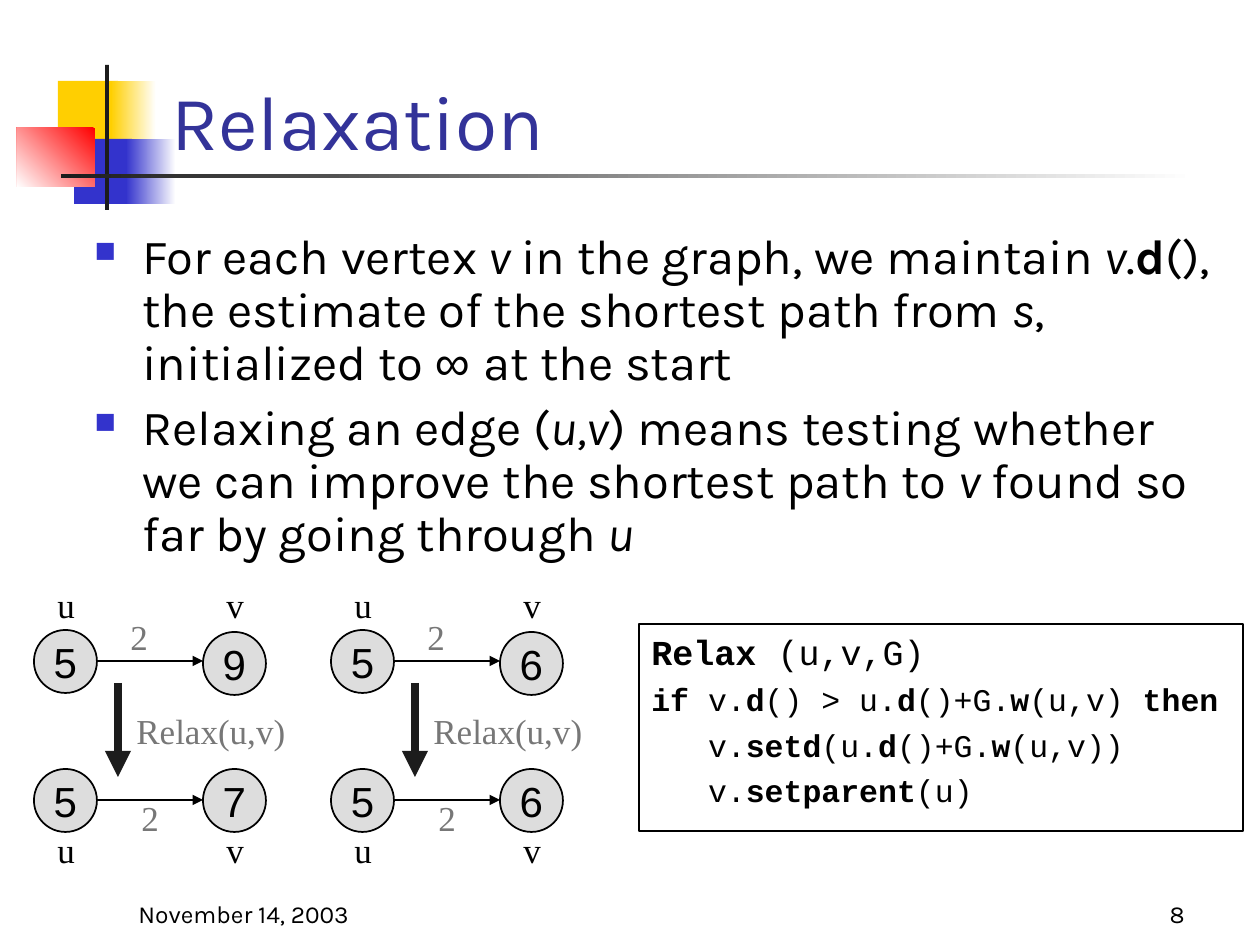
import pptx
import pptx.util
import pptx.dml.color
import pptx.enum.shapes
import pptx.enum.text
import pptx.oxml
import pptx.oxml.ns
from dataclasses import dataclass


@dataclass(frozen=True)
class Theme:
    white: str = "FFFFFF"
    black: str = "000000"
    dark: str = "1C1C1C"
    yellow: str = "FFCF01"
    blue: str = "3333CC"
    red: str = "FF0000"
    title: str = "333399"
    node: str = "DDDDDD"
    muted: str = "777777"
    sans: str = "Karla"
    digit: str = "Arial"
    serif: str = "Times New Roman"
    mono: str = "Courier New"
    title_size: int = 44
    body_size: int = 28
    node_size: int = 24
    label_size: int = 20
    code_size: int = 18
    footer_size: int = 14


THEME = Theme()
SLIDE_SIZE = (1260, 945)
SCALE = 914400 / 126
ALIGN = pptx.enum.text.PP_ALIGN
ANCHOR = pptx.enum.text.MSO_ANCHOR
SHAPE = pptx.enum.shapes.MSO_SHAPE

DECORATION = [
    ((58, 81, 60, 65), (THEME.yellow,), 0),
    ((111, 81, 45, 65), (THEME.white, THEME.yellow), 180),
    ((74, 139, 58, 65), (THEME.blue,), 0),
    ((126, 139, 50, 65), (THEME.white, THEME.blue), 180),
    ((17, 128, 78, 59), (THEME.red, THEME.white), 225),
    ((105, 65, 4, 145), (THEME.dark,), 0),
    ((61, 174, 1134, 4), (THEME.white, THEME.dark), 180),
]

BODY = [
    [("For each vertex ", ""), ("v ", "i"), ("in the graph, we maintain ", ""), ("v", "i"),
     (".", ""), ("d", "b"), ("(), the estimate of the shortest path from ", ""), ("s", "i"),
     (", initialized to ", ""), ("∞ ", "symbol"), ("at the start", "")],
    [("Relaxing an edge (", ""), ("u,v", "i"),
     (") means testing whether we can improve the shortest path to ", ""), ("v", "i"),
     (" found so far by going through ", ""), ("u", "i")],
]

CODE = [
    [("Relax ", "b"), ("(u,v,G)", "")],
    [("if ", "b"), ("v.", ""), ("d", "b"), ("() > u.", ""), ("d", "b"), ("()+G.", ""),
     ("w", "b"), ("(u,v) ", ""), ("then", "b")],
    [("   v.", ""), ("setd", "b"), ("(u.", ""), ("d", "b"), ("()+G.", ""), ("w", "b"),
     ("(u,v))", "")],
    [("   ", "b"), ("v.", ""), ("setparent", "b"), ("(u)", "")],
]

EXAMPLES = [
    {"before": ("5", "9"), "after": ("5", "7")},
    {"before": ("5", "6"), "after": ("5", "6")},
]
EXAMPLE_LEFT, EXAMPLE_STEP = 34, 297
NODE, NODE_STEP = 63, 169
ROWS = {
    "before": {"tops": (630, 632), "names": 577, "weight": (84, 609, 63)},
    "after": {"tops": (769, 769), "names": 822, "weight": (95, 790, 42)},
}


def px(value):
    return pptx.util.Emu(round(value * SCALE))


def rgb(value):
    return pptx.dml.color.RGBColor.from_string(value)


def style(run, font, size, color, flags=""):
    run.font.name = THEME.digit if flags == "symbol" else font
    run.font.size = pptx.util.Pt(size)
    run.font.color.rgb = rgb(color)
    run.font.bold = flags == "b"
    run.font.italic = flags == "i"


def add_box(slide, box, kind, colors=(), angle=0, outline=None):
    shape = slide.shapes.add_shape(kind, *map(px, box))
    shape.shadow.inherit = False
    if len(colors) == 2:
        shape.fill.gradient()
        shape.fill.gradient_angle = angle
        for stop, color in zip(shape.fill.gradient_stops, colors):
            stop.color.rgb = rgb(color)
    elif colors:
        shape.fill.solid()
        shape.fill.fore_color.rgb = rgb(colors[0])
    else:
        shape.fill.background()
    if outline:
        shape.line.color.rgb = rgb(outline)
        shape.line.width = pptx.util.Pt(1)
    else:
        shape.line.fill.background()
    return shape


def add_text(slide, box, text, font, size, color, anchor=ANCHOR.TOP, align=ALIGN.LEFT):
    frame = slide.shapes.add_textbox(*map(px, box)).text_frame
    frame.word_wrap = True
    frame.vertical_anchor = anchor
    frame.text = text
    frame.paragraphs[0].alignment = align
    style(frame.paragraphs[0].runs[0], font, size, color)


def add_arrow(slide, start, end, color, width):
    arrow = slide.shapes.add_connector(
        pptx.enum.shapes.MSO_CONNECTOR.STRAIGHT, *map(px, start + end))
    arrow.line.color.rgb = rgb(color)
    arrow.line.width = pptx.util.Pt(width)
    pptx.oxml.ns.qn("a:tailEnd")
    line = arrow.line._get_or_add_ln()
    line.append(pptx.oxml.parse_xml(
        f'<a:tailEnd {pptx.oxml.ns.nsdecls("a")} type="triangle"/>'))
    arrow._element.spPr.append(pptx.oxml.parse_xml(
        f'<a:effectLst {pptx.oxml.ns.nsdecls("a")}/>'))


def fill_paragraphs(frame, paragraphs, font, sizes, space):
    frame.word_wrap = True
    frame.vertical_anchor = ANCHOR.TOP
    for index, (runs, size) in enumerate(zip(paragraphs, sizes)):
        paragraph = frame.add_paragraph() if index else frame.paragraphs[0]
        paragraph.alignment = ALIGN.LEFT
        properties = paragraph._p.get_or_add_pPr()
        properties.set("marL", str(px(48)))
        properties.set("indent", str(px(-48)))
        if index:
            paragraph.space_before = pptx.util.Pt(space)
        for text, flags in runs:
            run = paragraph.add_run()
            run.text = text
            style(run, font, size, THEME.black, flags)


def add_bullet(paragraph):
    paragraph.line_spacing = 0.9
    properties = paragraph._p.get_or_add_pPr()
    for content in (f'buClr {{}}><a:srgbClr val="{THEME.blue}"/></a:buClr>',
                    'buSzPct {} val="60000"/>', 'buChar {} char="■"/>'):
        properties.append(pptx.oxml.parse_xml(
            "<a:" + content.format(pptx.oxml.ns.nsdecls("a"))))


def add_example(slide, left, example):
    for state, row in ROWS.items():
        for column, (name, value) in enumerate(zip("uv", example[state])):
            node_left = left + column * NODE_STEP
            node = add_box(slide, (node_left, row["tops"][column], NODE, NODE),
                           SHAPE.OVAL, (THEME.node,), outline=THEME.black)
            frame = node.text_frame
            frame.word_wrap = False
            frame.vertical_anchor = ANCHOR.MIDDLE
            frame.text = value
            frame.paragraphs[0].alignment = ALIGN.CENTER
            style(frame.paragraphs[0].runs[0], THEME.digit, THEME.node_size, THEME.black)
            add_text(slide, (node_left + 11, row["names"], 42, 55), name,
                     THEME.serif, THEME.label_size, THEME.black)
        middle = row["tops"][0] + NODE // 2
        add_arrow(slide, (left + NODE, middle), (left + NODE_STEP, middle), THEME.black, 1)
        offset, top, width = row["weight"]
        add_text(slide, (left + offset, top, width, 55), "2",
                 THEME.serif, THEME.label_size, THEME.muted)
    add_arrow(slide, (left + 84, 683), (left + 84, 777), THEME.dark, 5)
    add_text(slide, (left + 90, 703, 189, 55), "Relax(u,v)",
             THEME.serif, THEME.label_size, THEME.muted)


def main():
    presentation = pptx.Presentation()
    presentation.slide_width, presentation.slide_height = map(px, SLIDE_SIZE)
    slide = presentation.slides.add_slide(presentation.slide_layouts[6])

    for box, colors, angle in DECORATION:
        add_box(slide, box, SHAPE.RECTANGLE, colors, angle)
    add_text(slide, (159, 14, 1074, 158), "Relaxation", THEME.sans, THEME.title_size,
             THEME.title, ANCHOR.BOTTOM)

    body = slide.shapes.add_textbox(*map(px, (82, 226, 1152, 367))).text_frame
    fill_paragraphs(body, BODY, THEME.sans, [THEME.body_size] * len(BODY), 7)
    for paragraph in body.paragraphs:
        add_bullet(paragraph)

    for index, example in enumerate(EXAMPLES):
        add_example(slide, EXAMPLE_LEFT + index * EXAMPLE_STEP, example)

    code = add_box(slide, (639, 624, 604, 207), SHAPE.RECTANGLE, outline=THEME.black)
    sizes = [THEME.label_size] + [THEME.code_size] * (len(CODE) - 1)
    fill_paragraphs(code.text_frame, CODE, THEME.mono, sizes, 4.5)

    for left, text, align in ((935, "8", ALIGN.RIGHT), (126, "November 14, 2003", ALIGN.LEFT)):
        add_text(slide, (left, 872, 262, 63), text, THEME.sans, THEME.footer_size,
                 THEME.black, ANCHOR.BOTTOM, align)

    presentation.save("out.pptx")


if __name__ == "__main__":
    main()
